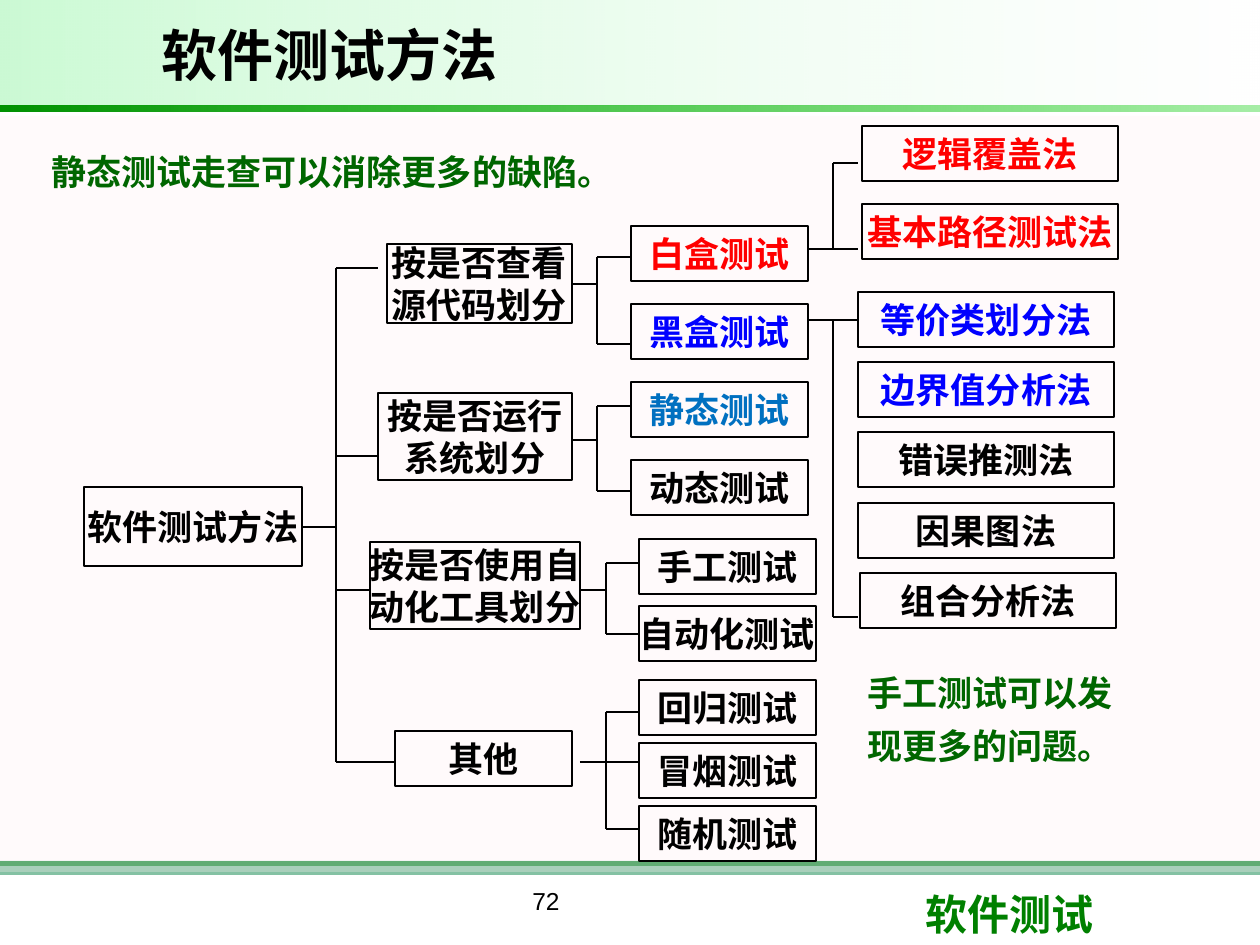
from lxml import etree
from pptx import Presentation
from pptx.dml.color import RGBColor
from pptx.enum.shapes import MSO_CONNECTOR, MSO_SHAPE
from pptx.enum.text import MSO_ANCHOR, PP_ALIGN
from pptx.oxml.ns import qn
from pptx.util import Emu, Pt

RECT, STRAIGHT = MSO_SHAPE.RECTANGLE, MSO_CONNECTOR.STRAIGHT
TOP, MIDDLE = MSO_ANCHOR.TOP, MSO_ANCHOR.MIDDLE
LEFT, CENTER = PP_ALIGN.LEFT, PP_ALIGN.CENTER
EMU_PER_PX = 914400 / 126
COLORS = {
    "black": "000000", "white": "FFFFFF", "red": "FF0000", "blue": "0000FF",
    "sky": "0070C0", "note": "006600", "footer": "008000", "sea": "339966",
    "blush": "FFF0F5", "mint": "09E733", "lime": "00CC00", "forest": "009200",
}


def px(value):
    return Emu(round(value * EMU_PER_PX))


def rgb(name):
    return RGBColor.from_string(COLORS[name])


def set_alpha(element, opacities):
    """Give each colour inside element its opacity in percent."""
    for color, opacity in zip(element.iter(qn("a:srgbClr")), opacities):
        if opacity < 100:
            etree.SubElement(color, qn("a:alpha")).set("val", str(opacity * 1000))


class TreeSlide:
    latin, cjk = "Arial", "Noto Sans CJK SC"
    line_width = Pt(0.75)

    def __init__(self, slide):
        self.shapes = slide.shapes

    def rect(self, x, y, w, h):
        shape = self.shapes.add_shape(RECT, px(x), px(y), px(w), px(h))
        shape.shadow.inherit = False
        return shape

    def band(self, x, y, w, h, color, opacity=100):
        band = self.rect(x, y, w, h)
        band.line.fill.background()
        band.fill.solid()
        band.fill.fore_color.rgb = rgb(color)
        set_alpha(band._element.spPr, [opacity])

    def gradient_band(self, x, y, w, h, stops):
        """Fade from right to left through two (colour, opacity) stops."""
        band = self.rect(x, y, w, h)
        band.rotation = 180
        band.line.fill.background()
        band.fill.gradient()
        band.fill.gradient_angle = 0
        for stop, (color, _) in zip(band.fill.gradient_stops, stops):
            stop.color.rgb = rgb(color)
        set_alpha(band._element.spPr, [opacity for _, opacity in stops])

    def fill_text(self, frame, text, size, color, align=LEFT, font=latin,
                  bold=True, spacing=None):
        frame.text = text
        for paragraph in frame.paragraphs:
            paragraph.alignment = align
            paragraph.line_spacing = spacing
            paragraph.font.name = font
            paragraph.font.size = Pt(size)
            paragraph.font.bold = bold
            paragraph.font.color.rgb = rgb(color)

    def text(self, x, y, w, h, text, size, color, anchor=TOP, wrap=True, **style):
        frame = self.shapes.add_textbox(px(x), px(y), px(w), px(h)).text_frame
        frame.word_wrap = wrap
        frame.vertical_anchor = anchor
        self.fill_text(frame, text, size, color, **style)

    def node(self, x, y, w, h, text, color="black"):
        node = self.rect(x, y, w, h)
        node.fill.background()
        node.line.color.rgb = rgb("black")
        node.line.width = self.line_width
        frame = node.text_frame
        frame.word_wrap = False
        frame.vertical_anchor = MIDDLE
        frame.margin_left = frame.margin_right = 0
        frame.margin_top = frame.margin_bottom = 0
        self.fill_text(frame, text, 20, color, CENTER)

    def line(self, x1, y1, x2, y2):
        line = self.shapes.add_connector(STRAIGHT, px(x1), px(y1), px(x2), px(y2))
        line.line.color.rgb = rgb("black")
        line.line.width = self.line_width
        etree.SubElement(line._element.spPr, qn("a:effectLst"))

    def bracket(self, start, spine, stem_y, branches):
        """Join a parent at (start, stem_y) to branches of (y, end x)."""
        ys = [y for y, _ in branches]
        self.line(spine, min(ys), spine, max(ys))
        if stem_y not in ys:
            self.line(start, stem_y, spine, stem_y)
        for y, end in branches:
            self.line(start if y == stem_y else spine, y, end, y)


def main():
    deck = Presentation()
    deck.slide_width, deck.slide_height = px(1260), px(945)
    tree = TreeSlide(deck.slides.add_slide(deck.slide_layouts[6]))

    tree.band(0, 861, 1260, 5, "footer")
    tree.band(0, 861, 1260, 14, "sea", 60)
    tree.band(0, 116, 1260, 756, "blush", 30)
    tree.text(913, 882, 299, 63, "软件测试", 24, "footer")
    tree.gradient_band(0, 0, 1259, 105, [("white", 10), ("mint", 21)])
    tree.gradient_band(0, 105, 1260, 6, [("lime", 35), ("forest", 100)])
    tree.text(149, 10, 878, 89, "软件测试方法", 32, "black", anchor=MIDDLE)
    tree.text(346, 880, 400, 65, "72", 14, "black", align=CENTER, bold=False)

    tree.node(84, 487, 218, 79, "软件测试方法")
    for x, y, w, h, category in [
        (387, 244, 185, 79, "按是否查看\n源代码划分"),
        (378, 393, 194, 87, "按是否运行\n系统划分"),
        (370, 542, 210, 87, "按是否使用自\n动化工具划分"),
        (395, 731, 177, 55, "其他"),
    ]:
        tree.node(x, y, w, h, category)

    columns = [
        (631, 177, [(226, "白盒测试", "red"), (304, "黑盒测试", "blue"),
                    (382, "静态测试", "sky"), (460, "动态测试", "black")]),
        (639, 177, [(539, "手工测试", "black"), (606, "自动化测试", "black"),
                    (680, "回归测试", "black"), (743, "冒烟测试", "black"),
                    (806, "随机测试", "black")]),
        (862, 256, [(126, "逻辑覆盖法", "red"), (204, "基本路径测试法", "red")]),
        (858, 256, [(292, "等价类划分法", "blue"), (362, "边界值分析法", "blue"),
                    (432, "错误推测法", "black"), (503, "因果图法", "black")]),
        (860, 256, [(573, "组合分析法", "black")]),
    ]
    for x, width, methods in columns:
        for y, method, color in methods:
            tree.node(x, y, width, 55, method, color)

    tree.bracket(302, 336, 527, [(268, 378), (456, 378), (590, 370), (762, 395)])
    for start, spine, stem_y, end, ys in [
        (572, 597, 284, 631, [257, 344]),
        (572, 597, 440, 631, [406, 491]),
        (580, 606, 590, 639, [563, 634]),
        (580, 606, 762, 639, [712, 762, 829]),
        (808, 833, 249, 858, [163, 249]),
        (808, 833, 320, 858, [320, 617]),
    ]:
        tree.bracket(start, spine, stem_y, [(y, end) for y in ys])

    note = {"font": tree.cjk, "spacing": 1.25}
    tree.text(39, 134, 591, 63, "静态测试走查可以消除更多的缺陷。", 20, "note",
              wrap=False, **note)
    tree.text(855, 655, 300, 116, "手工测试可以发现更多的问题。", 20, "note", **note)
    deck.save("out.pptx")


if __name__ == "__main__":
    main()
